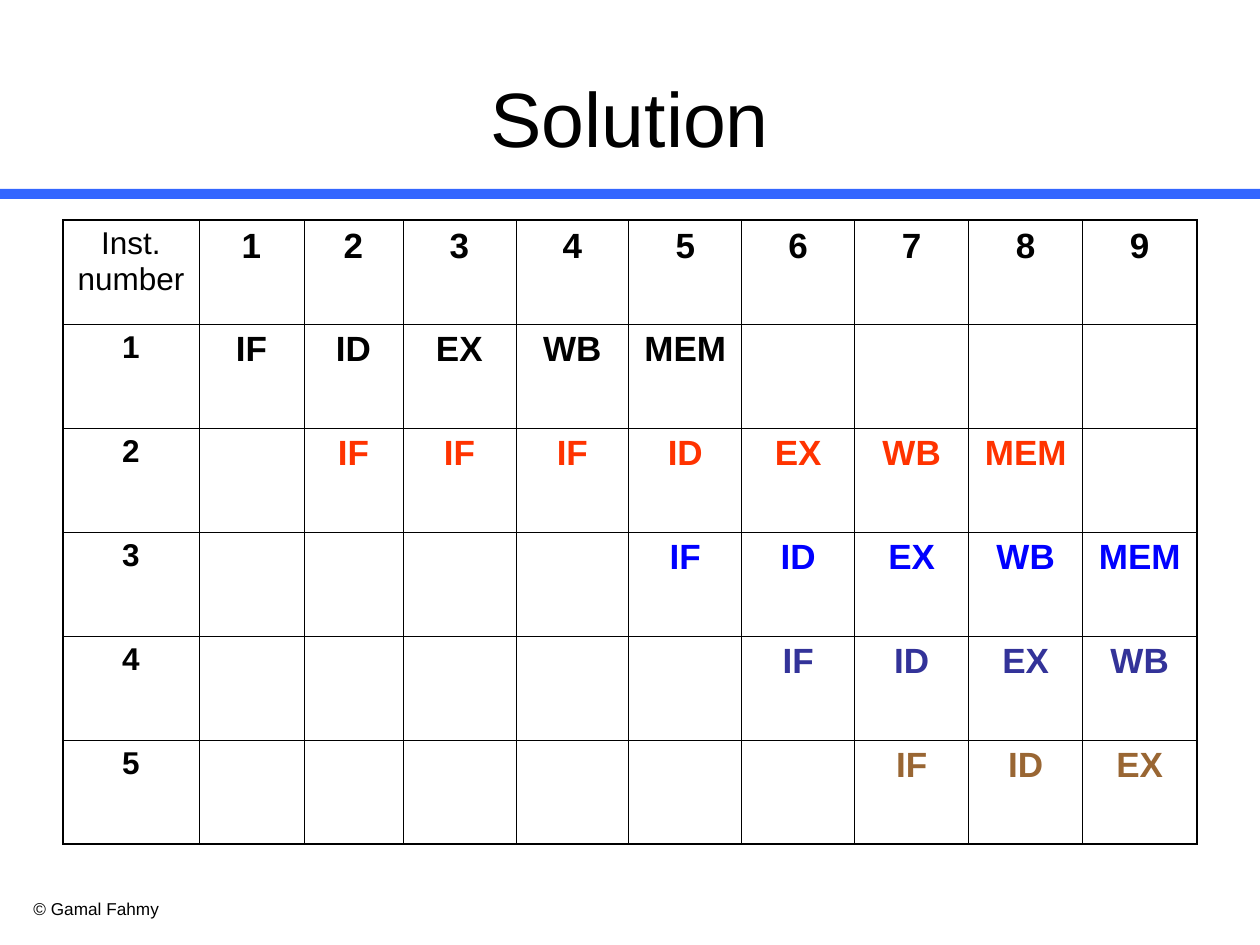
from lxml.etree import SubElement
from pptx import Presentation
from pptx.dml.color import RGBColor
from pptx.enum.shapes import MSO_SHAPE
from pptx.enum.text import MSO_ANCHOR as ANCHOR, PP_ALIGN as ALIGN
from pptx.oxml.ns import qn
from pptx.util import Pt

EMU_PER_PX = 914400 / 126
BLACK = "000000"
THIN, THICK = 0.45, 1.08

COLUMN_WIDTHS = [136, 105, 99] + [113] * 4 + [114] * 3
ROW_HEIGHT = 104
# Each instruction: first clock cycle, stage per cycle, colour
INSTRUCTIONS = [
    (1, ["IF", "ID", "EX", "WB", "MEM"], BLACK),
    (2, ["IF", "IF", "IF", "ID", "EX", "WB", "MEM"], "FF3300"),
    (5, ["IF", "ID", "EX", "WB", "MEM"], "0000FF"),
    (6, ["IF", "ID", "EX", "WB"], "333399"),
    (7, ["IF", "ID", "EX"], "996633"),
]


def px(length):
    return round(length * EMU_PER_PX)


def color(value):
    return RGBColor.from_string(value)


def write(frame, text, size=20, bold=False, ink=BLACK, align=ALIGN.CENTER):
    para = frame.paragraphs[0]
    para.alignment = align
    span = para.add_run()
    span.text = text
    font = span.font
    font.name, font.size, font.bold = "Arial", Pt(size), bold
    font.color.rgb = color(ink)


def add_text(page, text, left, top, width, height, anchor=ANCHOR.TOP, **style):
    box = page.shapes.add_textbox(px(left), px(top), px(width), px(height))
    frame = box.text_frame
    frame.word_wrap = True
    frame.vertical_anchor = anchor
    write(frame, text, **style)


def add_band(page, left, top, width, height, fill):
    band = page.shapes.add_shape(
        MSO_SHAPE.RECTANGLE, px(left), px(top), px(width), px(height))
    band.shadow.inherit = False
    band.fill.solid()
    band.fill.fore_color.rgb = color(fill)
    band.line.fill.background()


def set_borders(cell, **widths):
    """Draw black borders; widths in points, keyed L, R, T, B in that order."""
    properties = cell._tc.get_or_add_tcPr()
    for side, width in widths.items():
        line = SubElement(properties, qn(f"a:ln{side}"), w=str(Pt(width)))
        fill = SubElement(line, qn("a:solidFill"))
        SubElement(fill, qn("a:srgbClr"), val=BLACK)


def add_pipeline_table(page, left, top):
    row_count, column_count = len(INSTRUCTIONS) + 1, len(COLUMN_WIDTHS)
    table = page.shapes.add_table(
        row_count, column_count, px(left), px(top),
        px(sum(COLUMN_WIDTHS)), px(ROW_HEIGHT * row_count)).table
    table.first_row = table.horz_banding = False
    for column, width in zip(table.columns, COLUMN_WIDTHS):
        column.width = px(width)
    for row in table.rows:
        row.height = px(ROW_HEIGHT)

    for r in range(row_count):
        for c in range(column_count):
            cell = table.cell(r, c)
            set_borders(
                cell,
                L=THICK if c == 0 else THIN,
                R=THICK if c == column_count - 1 else THIN,
                T=THICK if r == 0 else THIN,
                B=THICK if r == row_count - 1 else THIN)
            cell.fill.background()

    write(table.cell(0, 0).text_frame, "Inst. number", size=18)
    for cycle in range(1, column_count):
        write(table.cell(0, cycle).text_frame, str(cycle), bold=True)
    for number, (start, stages, ink) in enumerate(INSTRUCTIONS, 1):
        write(table.cell(number, 0).text_frame, str(number), size=18, bold=True)
        for cycle, stage in enumerate(stages, start):
            write(table.cell(number, cycle).text_frame, stage, bold=True, ink=ink)


def main():
    deck = Presentation()
    deck.slide_width, deck.slide_height = px(1260), px(945)
    page = deck.slides.add_slide(deck.slide_layouts[6])
    add_band(page, 0, 189, 1260, 10, "3366FF")
    add_text(page, "© Gamal Fahmy", 21, 892, 273, 34, size=9.8, align=ALIGN.LEFT)
    add_pipeline_table(page, 63, 220)
    add_text(page, "Solution", 63, 38, 1134, 158, anchor=ANCHOR.MIDDLE, size=44)
    deck.save("out.pptx")


if __name__ == "__main__":
    main()
